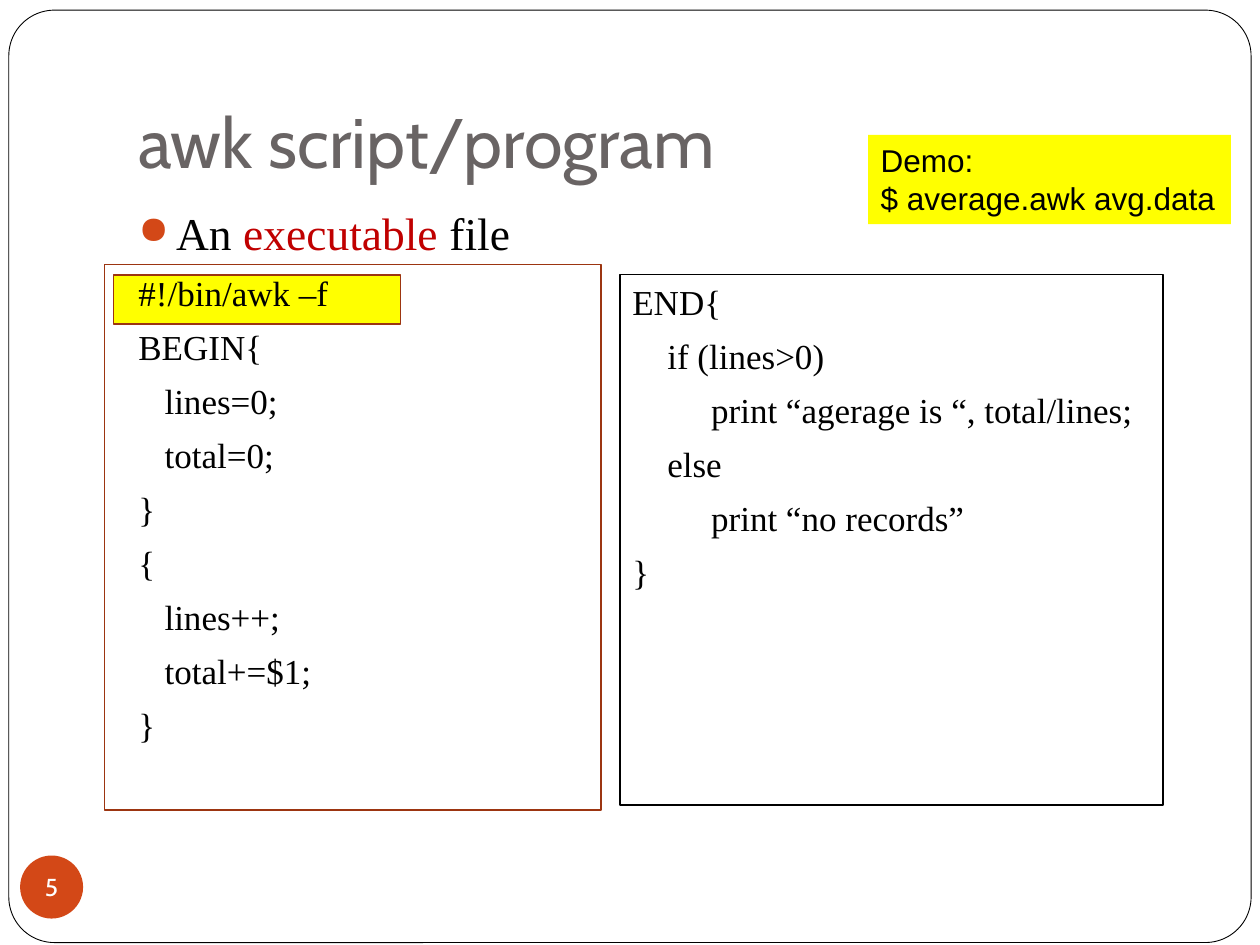
from pptx import Presentation
from pptx.dml.color import RGBColor
from pptx.enum.shapes import MSO_SHAPE as Shape
from pptx.enum.text import MSO_ANCHOR as Anchor, PP_ALIGN as Align
from pptx.oxml import parse_xml
from pptx.oxml.ns import nsdecls
from pptx.util import Inches, Pt

WHITE = RGBColor(0xFF, 0xFF, 0xFF)
BLACK = RGBColor(0, 0, 0)
YELLOW = RGBColor(0xFF, 0xFF, 0)
ORANGE = RGBColor(0xD3, 0x48, 0x17)
RUST = RGBColor(0x9C, 0x35, 0x11)
RED = RGBColor(0xC0, 0, 0)
GREY = RGBColor(0x69, 0x64, 0x64)

WIDTH, HEIGHT = 10, 7.5
SERIF, HEADING, SANS = "Times New Roman", "Cabin", "Arial"
CODE_SIZE = 20
CODE_GAP = 6.8
SPACE = CODE_SIZE / 4  # width of one code column in points
BULLET_INDENT = 0.3

# Code lines as (indent in columns, text)
COUNTING_CODE = [
    (0, "#!/bin/awk –f"), (0, "BEGIN{"), (3, "lines=0;"), (3, "total=0;"),
    (0, "}"), (0, "{"), (3, "lines++;"), (3, "total+=$1;"), (0, "}"),
]
REPORT_CODE = [
    (0, "END{"), (4, "if (lines>0)"),
    (9, "print “agerage is “, total/lines;"),
    (4, "else"), (9, "print “no records”"), (0, "}"),
]


def place(left, top, width, height):
    """Turn shares of the slide into lengths."""
    return (Inches(left * WIDTH), Inches(top * HEIGHT),
            Inches(width * WIDTH), Inches(height * HEIGHT))


def add_panel(slide, kind, box, fill=None, line=None, weight=1):
    panel = slide.shapes.add_shape(kind, *place(*box))
    panel.shadow.inherit = False
    if fill is None:
        panel.fill.background()
    else:
        panel.fill.solid()
        panel.fill.fore_color.rgb = fill
    if line is None:
        panel.line.fill.background()
    else:
        panel.line.color.rgb = line
        panel.line.width = Pt(weight)
    return panel


def set_frame(shape, anchor=Anchor.TOP, wrap=True, insets=(0.1, 0.05, 0.1, 0.05)):
    frame = shape.text_frame
    frame.word_wrap = wrap
    frame.vertical_anchor = anchor
    (frame.margin_left, frame.margin_top,
     frame.margin_right, frame.margin_bottom) = map(Inches, insets)
    return frame


def add_text(frame, *parts, size=CODE_SIZE, font=SERIF, color=BLACK,
             align=Align.LEFT, before=0, indent=0):
    """Write one paragraph; a part is a text or a (text, colour) pair."""
    first = frame.paragraphs[0]
    paragraph = frame.add_paragraph() if first.runs else first
    paragraph.alignment = align
    paragraph.space_before = Pt(before)
    if indent:
        paragraph._p.get_or_add_pPr().set("marL", str(Pt(indent)))
    for part in parts:
        words, tint = part if isinstance(part, tuple) else (part, color)
        run = paragraph.add_run()
        run.text = words
        run.font.size = Pt(size)
        run.font.name = font
        run.font.color.rgb = tint
    return paragraph


def add_code(frame, lines):
    for columns, code in lines:
        add_text(frame, code, before=CODE_GAP, indent=columns * SPACE)


def add_bullet(paragraph):
    properties = paragraph._p.get_or_add_pPr()
    properties.set("marL", str(Inches(BULLET_INDENT)))
    properties.set("indent", str(-Inches(BULLET_INDENT)))
    for tag, content in (
        ("buClr", f'><a:srgbClr val="{ORANGE}"/></a:buClr>'),
        ("buSzPct", ' val="85000"/>'),
        ("buChar", ' char="●"/>'),
    ):
        properties.append(parse_xml(f"<a:{tag} {nsdecls('a')}{content}"))


def main():
    deck = Presentation()
    deck.slide_width, deck.slide_height = Inches(WIDTH), Inches(HEIGHT)
    slide = deck.slides.add_slide(deck.slide_layouts[6])

    # Rounded border and highlight behind the first code line
    border = add_panel(slide, Shape.ROUNDED_RECTANGLE,
                       (0.007, 0.0107, 0.986, 0.9867), WHITE, BLACK, 0.5)
    border.adjustments[0] = 0.049
    add_panel(slide, Shape.RECTANGLE, (0.09, 0.2907, 0.228, 0.052), YELLOW, RUST)

    # Title
    title = slide.shapes.add_textbox(*place(0.1, 0.04, 0.85, 0.1667))
    add_text(set_frame(title, Anchor.BOTTOM, insets=(0.1, 0.05, 0.1, 0.1)),
             "awk script/program", size=40, font=HEADING, color=GREY)

    # Bullet and counting code
    body = set_frame(slide.shapes.add_textbox(*place(0.1, 0.2107, 0.534, 0.6667)))
    add_bullet(add_text(body, "An ", ("executable", RED), " file",
                        size=26, before=CODE_GAP))
    add_code(body, COUNTING_CODE)

    # Slide number
    badge = add_panel(slide, Shape.OVAL, (0.016, 0.9053, 0.05, 0.0667), ORANGE)
    add_text(set_frame(badge, Anchor.MIDDLE, wrap=False, insets=(0, 0, 0, 0)),
             "5", size=14, font=HEADING, color=WHITE, align=Align.CENTER)

    # Report code and the frame around the counting code
    report = add_panel(slide, Shape.RECTANGLE, (0.492, 0.2907, 0.431, 0.5613),
                       line=BLACK, weight=0.75)
    add_code(set_frame(report), REPORT_CODE)
    add_panel(slide, Shape.RECTANGLE, (0.083, 0.28, 0.394, 0.5773), line=RUST)

    # Demo note
    demo = set_frame(add_panel(slide, Shape.RECTANGLE,
                               (0.689, 0.1427, 0.288, 0.0947), YELLOW), wrap=False)
    for line in ("Demo:", "$ average.awk avg.data"):
        add_text(demo, line, size=18, font=SANS)

    deck.save("out.pptx")


main()
